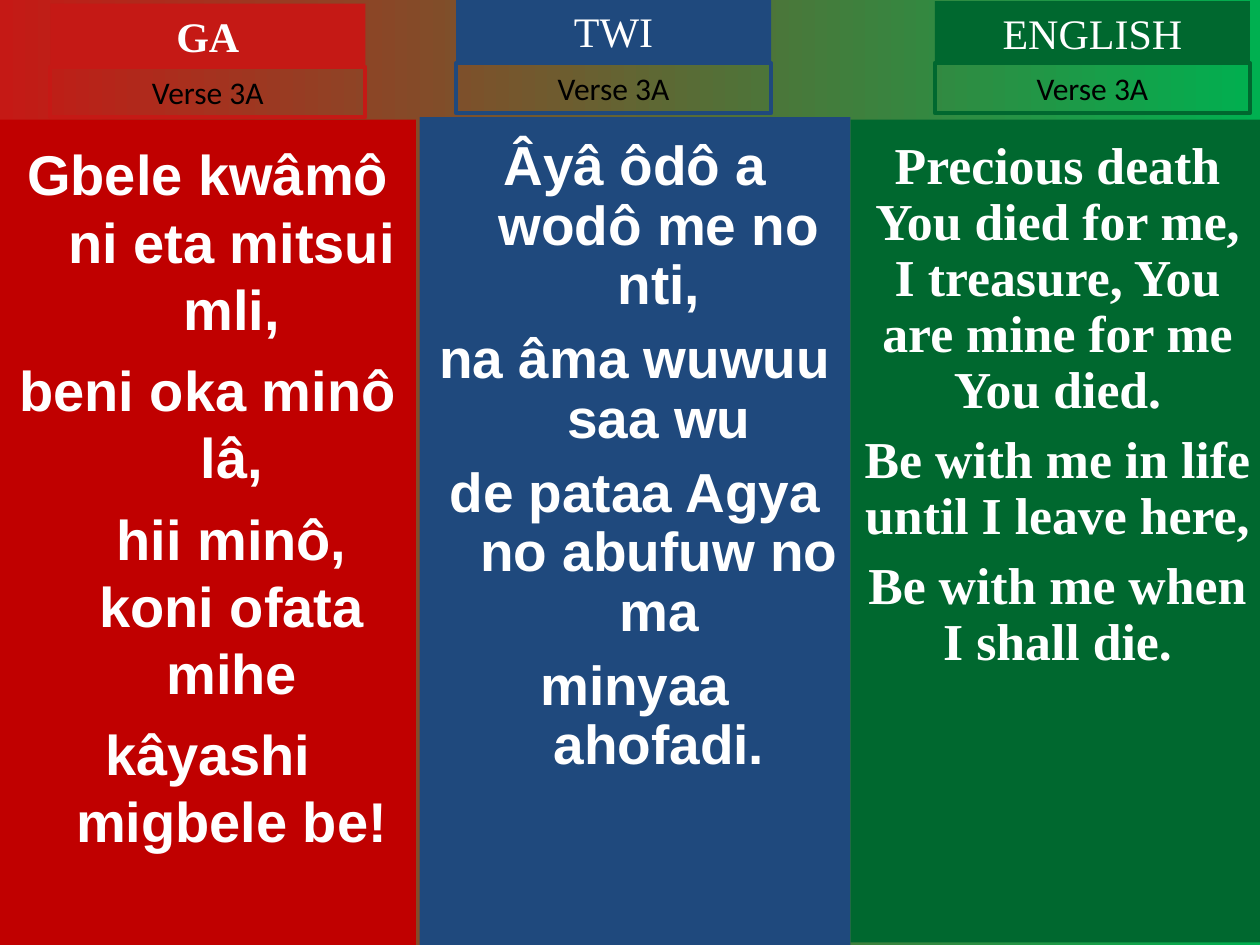
from lxml import etree
from pptx import Presentation, util as u
from pptx.dml.color import RGBColor
from pptx.enum import shapes, text
from pptx.oxml.ns import qn

COLORS = {
    "ga": "C00000", "ga_label": "C51915", "twi": "1F497D", "english": "00682F",
    "glow": "00B050", "white": "FFFFFF", "black": "000000",
}
LABEL_WIDTH, LABEL_HEIGHT, VERSE_HEIGHT = 2.5, 0.5, 0.4
HANGING = 0.38
VERSE = "Verse 3A"

COLUMNS = [
    {
        "name": "GA", "fill": "ga", "label": "ga_label", "bold": True,
        "body": (0, 0.95, 3.3, 6.55), "label_at": (0.4, 0.03), "verse_top": 0.53,
        "font": "Arial", "size": 32, "spacing": 1.0, "before": 8, "hanging": HANGING,
        "lines": ["Gbele kwâmô ni eta mitsui mli,", "beni oka minô lâ,",
                  "hii minô, koni ofata mihe", "kâyashi migbele be!"],
        "unhung": [2],
    },
    {
        "name": "TWI", "fill": "twi", "label": "twi", "bold": False,
        "body": (3.33, 0.93, 3.42, 6.57), "label_at": (3.62, -0.01), "verse_top": 0.5,
        "font": "Arial", "size": 31.4, "spacing": 0.9, "before": 8.5, "hanging": HANGING,
        "lines": ["Âyâ ôdô a wodô me no nti,", "na âma wuwuu saa wu",
                  "de pataa Agya no abufuw no ma", "minyaa ahofadi."],
        "unhung": [],
    },
    {
        "name": "ENGLISH", "fill": "english", "label": "english", "bold": False,
        "body": (6.75, 0.95, 3.29, 6.53), "label_at": (7.42, 0.01), "verse_top": 0.5,
        "font": "Times New Roman", "size": 29.6, "spacing": 0.9, "before": 8, "hanging": 0,
        "lines": ["Precious death You died for me, I treasure, You are mine for me You died.",
                  "Be with me in life until I leave here,", "Be with me when I shall die."],
        "unhung": [],
    },
]


def color(name):
    return RGBColor.from_string(COLORS[name])


def paint(shape, name):
    shape.fill.solid()
    shape.fill.fore_color.rgb = color(name)


def style(para, font, size, ink, bold):
    para.alignment = text.PP_ALIGN.CENTER
    for span in para.runs:
        span.font.name = font
        span.font.size = u.Pt(size)
        span.font.bold = bold
        span.font.color.rgb = color(ink)


def set_frame(frame, anchor):
    frame.word_wrap = True
    frame.auto_size = text.MSO_AUTO_SIZE.NONE
    frame.vertical_anchor = anchor


def fill_body(box, column):
    box.left, box.top, box.width, box.height = map(u.Inches, column["body"])
    paint(box, column["fill"])
    frame = box.text_frame
    frame.text = "\n".join(column["lines"])
    set_frame(frame, text.MSO_ANCHOR.TOP)
    for index, para in enumerate(frame.paragraphs):
        first = 0 if index in column["unhung"] else -column["hanging"]
        props = para._p.get_or_add_pPr()
        props.set("marL", str(u.Inches(column["hanging"])))
        props.set("indent", str(u.Inches(first)))
        etree.SubElement(props, qn("a:buNone"))
        para.line_spacing = column["spacing"]
        para.space_before = u.Pt(column["before"] if index else 0)
        style(para, column["font"], column["size"], "white", True)
    frame.margin_top = u.Inches(0.05) + u.Pt(column["before"])


def add_label(page, words, left, top, height, font, size, ink, bold=False):
    box = page.shapes.add_shape(
        shapes.MSO_SHAPE.RECTANGLE, *map(u.Inches, (left, top, LABEL_WIDTH, height)))
    box.shadow.inherit = False
    box.text_frame.text = words
    set_frame(box.text_frame, text.MSO_ANCHOR.MIDDLE)
    style(box.text_frame.paragraphs[0], font, size, ink, bold)
    return box


def main():
    deck = Presentation()
    deck.slide_width, deck.slide_height = u.Inches(10), u.Inches(7.5)
    page = deck.slides.add_slide(deck.slide_layouts.get_by_name("Comparison"))

    backdrop = page.background.fill
    backdrop.gradient()
    backdrop.gradient_angle = 0
    for stop, name in zip(backdrop.gradient_stops, ("ga_label", "glow")):
        stop.color.rgb = color(name)

    title, *bodies = list(page.placeholders)
    for unused in (title, *bodies[len(COLUMNS):]):
        unused.element.getparent().remove(unused.element)

    for box, column in zip(bodies, COLUMNS):
        fill_body(box, column)
        left, top = column["label_at"]
        header = add_label(page, column["name"], left, top, LABEL_HEIGHT,
                           "Times New Roman", 24, "white", column["bold"])
        paint(header, column["label"])
        header.line.fill.background()
        verse = add_label(page, VERSE, left, column["verse_top"], VERSE_HEIGHT,
                          "Calibri", 18, "black")
        verse.fill.background()
        verse.line.color.rgb = color(column["label"])
        verse.line.width = u.Pt(2.25)

    deck.save("out.pptx")


if __name__ == "__main__":
    main()
